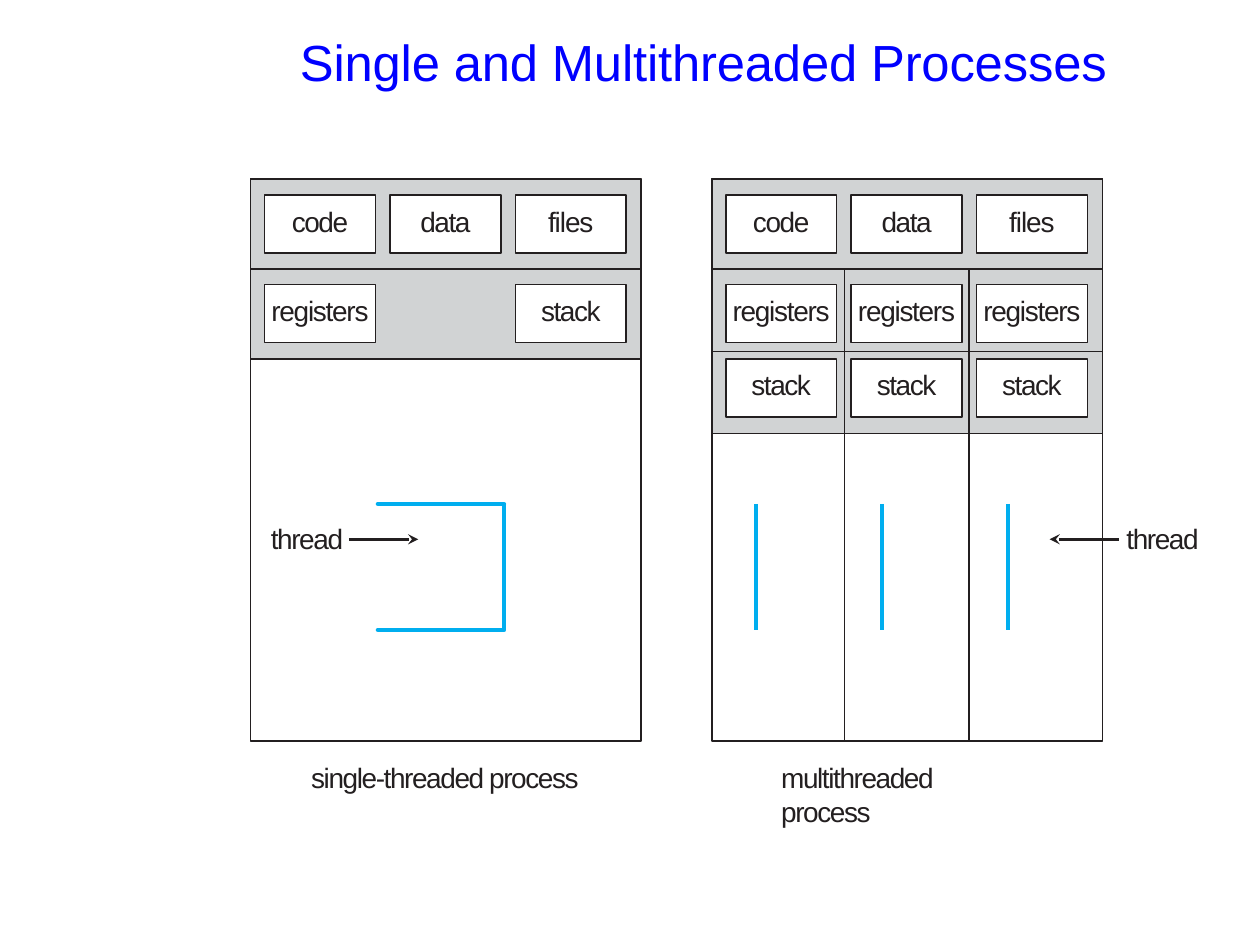
from pptx import Presentation
from pptx.dml.color import RGBColor
from pptx.enum.shapes import MSO_CONNECTOR as CONN, MSO_SHAPE as SHAPE
from pptx.enum.text import MSO_ANCHOR as ANCHOR, PP_ALIGN as ALIGN
from pptx.oxml.ns import qn
from pptx.util import Inches, Pt
from lxml.etree import SubElement

COLORS = {"title": "0000FF", "ink": "231F20", "band": "D1D3D4",
          "box": "FFFFFF", "thread": "00AEEF"}
TOP, BOTTOM = 1.42, 5.88
PANEL_W = 3.1
PAD, COL = 0.11, 0.995
BOX_W, BOX_H = 0.88, 0.46
ROWS = (1.55, 2.26, 2.85)
SHARED_END = 2.135
ARROW_Y = 4.28
WAVE_TOP, WAVE_STEP = 3.8, 0.192
BULGE = ((0, 0), (0.06, 0.02), (0.09, 0.04), (0.11, 0.06), (0.11, 0.09),
         (0.09, 0.14), (0.05, 0.17), (0.02, 0.18), (0, 0.19))


def rgb(name):
    return RGBColor.from_string(COLORS[name])


def set_line(sp, color, width):
    sp.line.color.rgb = rgb(color)
    sp.line.width = Pt(width)


def set_text(sp, text, size, color, spacing, inset, anchor=ANCHOR.TOP, align=ALIGN.LEFT):
    tf = sp.text_frame
    tf.word_wrap = True
    tf.margin_left = tf.margin_right = tf.margin_bottom = 0
    tf.margin_top = Inches(inset)
    tf.vertical_anchor = anchor
    p = tf.paragraphs[0]
    p.alignment = align
    p.font.name = "Arial"
    p.font.size = Pt(size)
    p.font.color.rgb = rgb(color)
    r = p.add_run()
    r.text = text
    r.font._element.set("spc", str(round(spacing * 100)))


def add_label(s, text, x, y, w, h=0.3, size=16, color="ink", spacing=-0.8,
              inset=0.02, anchor=ANCHOR.TOP):
    sp = s.shapes.add_textbox(Inches(x), Inches(y), Inches(w), Inches(h))
    set_text(sp, text, size, color, spacing, inset, anchor)


def add_rect(s, x, y, w, h, fill=None):
    sp = s.shapes.add_shape(SHAPE.RECTANGLE, Inches(x), Inches(y), Inches(w), Inches(h))
    sp.shadow.inherit = False
    if fill:
        sp.fill.solid()
        sp.fill.fore_color.rgb = rgb(fill)
    else:
        sp.fill.background()
    set_line(sp, "ink", 0.88)
    return sp


def add_line(s, x1, y1, x2, y2, width=0.9, arrow=False):
    sp = s.shapes.add_connector(CONN.STRAIGHT, Inches(x1), Inches(y1), Inches(x2), Inches(y2))
    set_line(sp, "ink", width)
    if arrow:
        SubElement(sp.line._get_or_add_ln(), qn("a:tailEnd"), type="stealth", w="med", len="med")
    SubElement(sp._element.spPr, qn("a:effectLst"))


def add_thread(s, x):
    points = []
    for i in range(5):
        y = WAVE_TOP + i * WAVE_STEP
        if i % 2:
            points += [(x + dx, y + WAVE_STEP - dy) for dx, dy in reversed(BULGE)]
        else:
            points += [(x - dx, y + dy) for dx, dy in BULGE]
    fb = s.shapes.build_freeform(*points[0], scale=Inches(1))
    fb.add_line_segments(points[1:], close=False)
    sp = fb.convert_to_shape()
    sp.shadow.inherit = False
    sp.fill.background()
    set_line(sp, "thread", 2.56)


def add_process(s, x, band_end, rows, threads):
    add_rect(s, x, TOP, PANEL_W, band_end - TOP, "band")
    add_rect(s, x, TOP, PANEL_W, BOTTOM - TOP)
    for y, row in zip(ROWS, rows):
        for i, name in enumerate(row):
            if name:
                sp = add_rect(s, x + PAD + i * COL, y, BOX_W, BOX_H, "box")
                spacing = {"registers": -0.7, "files": -0.6}.get(name, -0.8)
                set_text(sp, name, 16, "ink", spacing, 0.07, align=ALIGN.CENTER)
    add_line(s, x, SHARED_END, x + PANEL_W, SHARED_END)
    for center in threads:
        add_thread(s, center)


def main():
    prs = Presentation()
    prs.slide_width, prs.slide_height = Inches(10), Inches(7.5)
    s = prs.slides.add_slide(prs.slide_layouts[6])
    add_label(s, "Single and Multithreaded Processes", 2.38, 0.22, 6.6, 0.51,
              29, "title", -0.1, 0.01, ANCHOR.BOTTOM)

    left, right = 1.99, 5.65
    shared = ("code", "data", "files")
    add_process(s, left, 2.85, (shared, ("registers", None, "stack")), (3.54,))
    add_process(s, right, 3.44, (shared, ("registers",) * 3, ("stack",) * 3),
                [6.17 + i * 1.025 for i in range(3)])
    for x in (6.7, 7.69):
        add_line(s, x, SHARED_END, x, BOTTOM, 0.8)
    add_line(s, right, 2.79, right + PANEL_W, 2.79)

    add_line(s, 2.77, ARROW_Y, 3.32, ARROW_Y, 1.81, arrow=True)
    add_line(s, 8.88, ARROW_Y, 8.33, ARROW_Y, 1.81, arrow=True)
    add_label(s, "thread", 2.15, 4.12, 0.6)
    add_label(s, "thread", 8.94, 4.12, 0.6)
    add_label(s, "single-threaded process", 2.47, 6.02, 2.3)
    add_label(s, "multithreaded process", 6.2, 6.02, 1.9)
    prs.save("out.pptx")


main()
